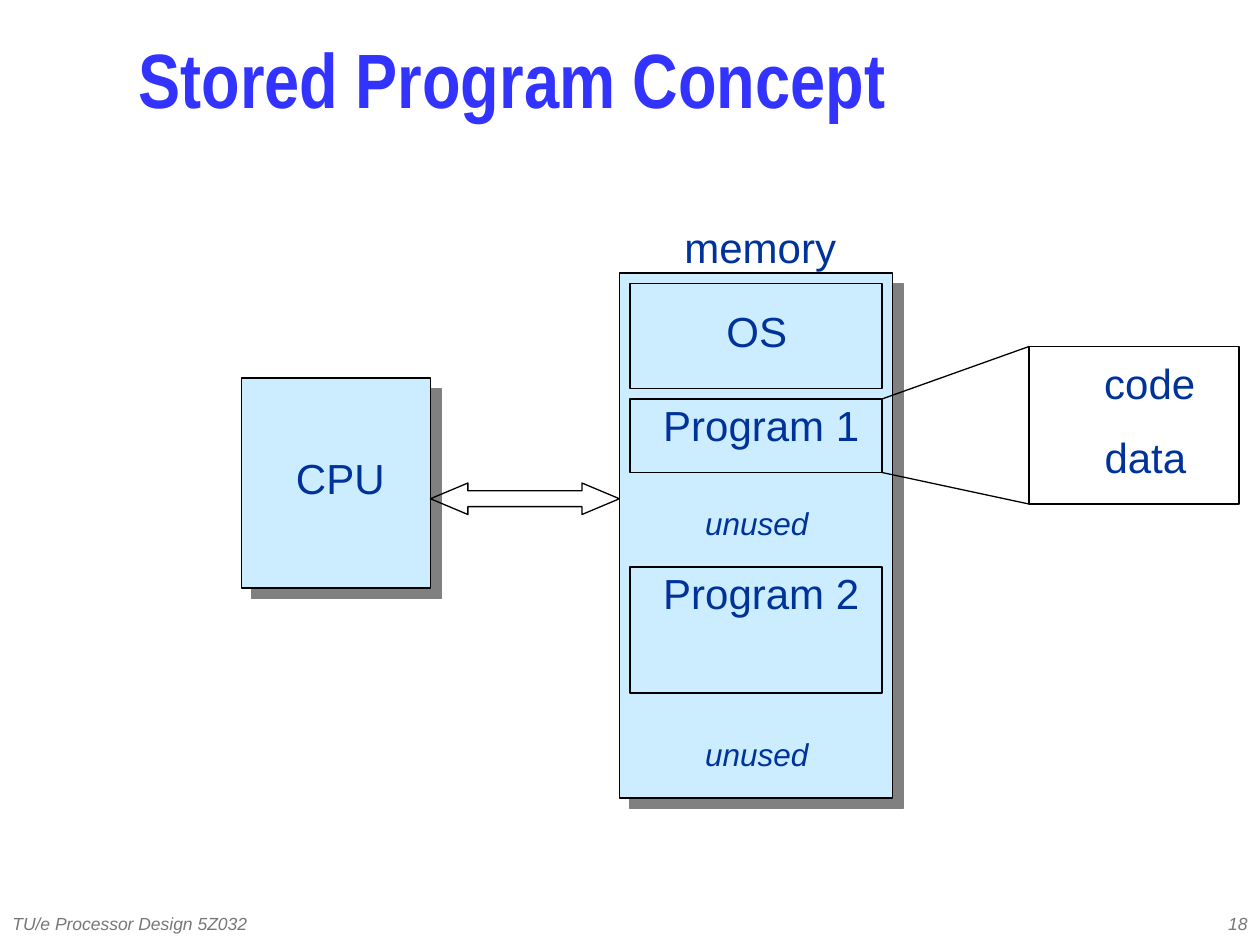
from lxml import etree
from pptx import Presentation
from pptx import util as u
from pptx.dml.color import RGBColor
from pptx.enum import shapes, text
from pptx.oxml.ns import qn

Pt = u.Pt
LEFT, CENTER, RIGHT = text.PP_ALIGN.LEFT, text.PP_ALIGN.CENTER, text.PP_ALIGN.RIGHT
INK, LABEL, PALE, GREY = "010000", "003399", "CCECFF", "777777"
LABEL_FONT = {"name": "Arial", "size": Pt(24)}
UNUSED_FONT = {"name": "Arial", "size": Pt(18), "italic": True}
FOOTER_FONT = {"name": "Arial", "size": Pt(10), "italic": True}
TITLE_FONT = {"name": "Arial Narrow", "size": Pt(44), "bold": True}


def color(hex_value):
    return RGBColor.from_string(hex_value)


def set_attributes(target, values):
    for name, value in values.items():
        setattr(target, name, value)


def write(shape, words, font, ink, align=CENTER, spacing=1.1, wrap=False):
    """Fill a text shape with one formatted paragraph."""
    set_attributes(shape.text_frame, {
        "text": words, "word_wrap": wrap,
        "vertical_anchor": text.MSO_ANCHOR.MIDDLE,
        "auto_size": text.MSO_AUTO_SIZE.NONE if wrap
        else text.MSO_AUTO_SIZE.SHAPE_TO_FIT_TEXT})
    paragraph = shape.text_frame.paragraphs[0]
    set_attributes(paragraph, {"alignment": align, "line_spacing": spacing})
    set_attributes(paragraph.font, font)
    paragraph.font.color.rgb = color(ink)


def add_text(slide, box, words, font=LABEL_FONT, ink=LABEL, **layout):
    shape = slide.shapes.add_textbox(*map(Pt, box))
    write(shape, words, font, ink, **layout)


def add_outline(slide, box, fill=None, kind=shapes.MSO_SHAPE.RECTANGLE):
    shape = slide.shapes.add_shape(kind, *map(Pt, box))
    shape.shadow.inherit = False
    if fill:
        shape.fill.solid()
        shape.fill.fore_color.rgb = color(fill)
    else:
        shape.fill.background()
    shape.line.color.rgb = color(INK)
    shape.line.width = Pt(0.75)
    return shape


def add_shadowed_block(slide, box):
    shape = add_outline(slide, box, PALE)
    effects = shape._element.spPr.find(qn("a:effectLst"))
    shadow = etree.SubElement(effects, qn("a:outerShdw"), dist=str(Pt(8.5)),
                              dir="2700000", algn="ctr", rotWithShape="0")
    etree.SubElement(shadow, qn("a:srgbClr"), val="808080")


def add_line(slide, start, end):
    line = slide.shapes.add_connector(
        shapes.MSO_CONNECTOR.STRAIGHT, *map(Pt, start + end))
    line.line.color.rgb = color(INK)
    line.line.width = Pt(0.75)
    etree.SubElement(line._element.spPr, qn("a:effectLst"))


def add_title(slide, box):
    title = slide.shapes.title
    set_attributes(title, dict(zip(("left", "top", "width", "height"), map(Pt, box))))
    write(title, "Stored Program Concept", TITLE_FONT, "3333FF",
          align=LEFT, spacing=0.7, wrap=True)


def add_cpu(slide, box):
    left, top, width, height = box
    add_shadowed_block(slide, box)
    add_text(slide, (left + 22, top + 36, 69, 39), "CPU")


def add_memory(slide, box):
    """Draw the memory map and return the box of program 1."""
    left, top, width, height = box
    add_shadowed_block(slide, box)
    add_text(slide, (left + 30, top - 36, 105, 39), "memory", align=LEFT)

    def segment(offset, segment_height):
        area = (left + 6, top + offset, width - 12, segment_height)
        add_outline(slide, area)
        return area

    segment(6, 60)
    program = segment(72, 42)
    segment(168, 72)
    add_text(slide, (left + 54, top + 12, 59, 39), "OS", align=LEFT)
    for words, offset in (("Program 1", 66), ("Program 2", 162)):
        add_text(slide, (left + 16, top + offset, 130, 39), words)
    for offset in (126, 258):
        add_text(slide, (left + 40, top + offset, 77, 31), "unused", UNUSED_FONT)
    return program


def add_program_detail(slide, box, program):
    """Draw the enlarged program with lines from the corners of its segment."""
    left, top, width, height = box
    program_left, program_top, program_width, program_height = program
    program_right = program_left + program_width
    add_line(slide, (program_right, program_top), (left, top))
    add_line(slide, (program_right, program_top + program_height), (left, top + height))
    add_outline(slide, box)
    for words, offset, label_width in (("code", 0, 70), ("data", 42, 65)):
        add_text(slide, (left + 34, top + offset, label_width, 39), words)


def add_bus(slide, box):
    arrow = add_outline(slide, box, kind=shapes.MSO_SHAPE.LEFT_RIGHT_ARROW)
    arrow.adjustments[0] = 0.5
    arrow.adjustments[1] = 1.19


def add_footer(slide, box):
    left, top, width, height = box
    for words, start, part, align in (
            ("TU/e Processor Design 5Z032", 0, 228, LEFT),
            ("18", width - 150, 150, RIGHT)):
        add_text(slide, (left + start, top, part, height), words, FOOTER_FONT,
                 GREY, align=align, spacing=1.0, wrap=True)


def main():
    presentation = Presentation()
    presentation.slide_width, presentation.slide_height = Pt(720), Pt(540)
    slide = presentation.slides.add_slide(presentation.slide_layouts[5])
    add_title(slide, (72, 12, 618, 78))
    add_cpu(slide, (138, 216, 108, 120))
    program = add_memory(slide, (354, 156, 156, 300))
    add_program_detail(slide, (588, 198, 120, 90), program)
    add_bus(slide, (246, 276, 108, 18))
    add_footer(slide, (0, 516, 720, 23))
    presentation.save("out.pptx")


if __name__ == "__main__":
    main()
